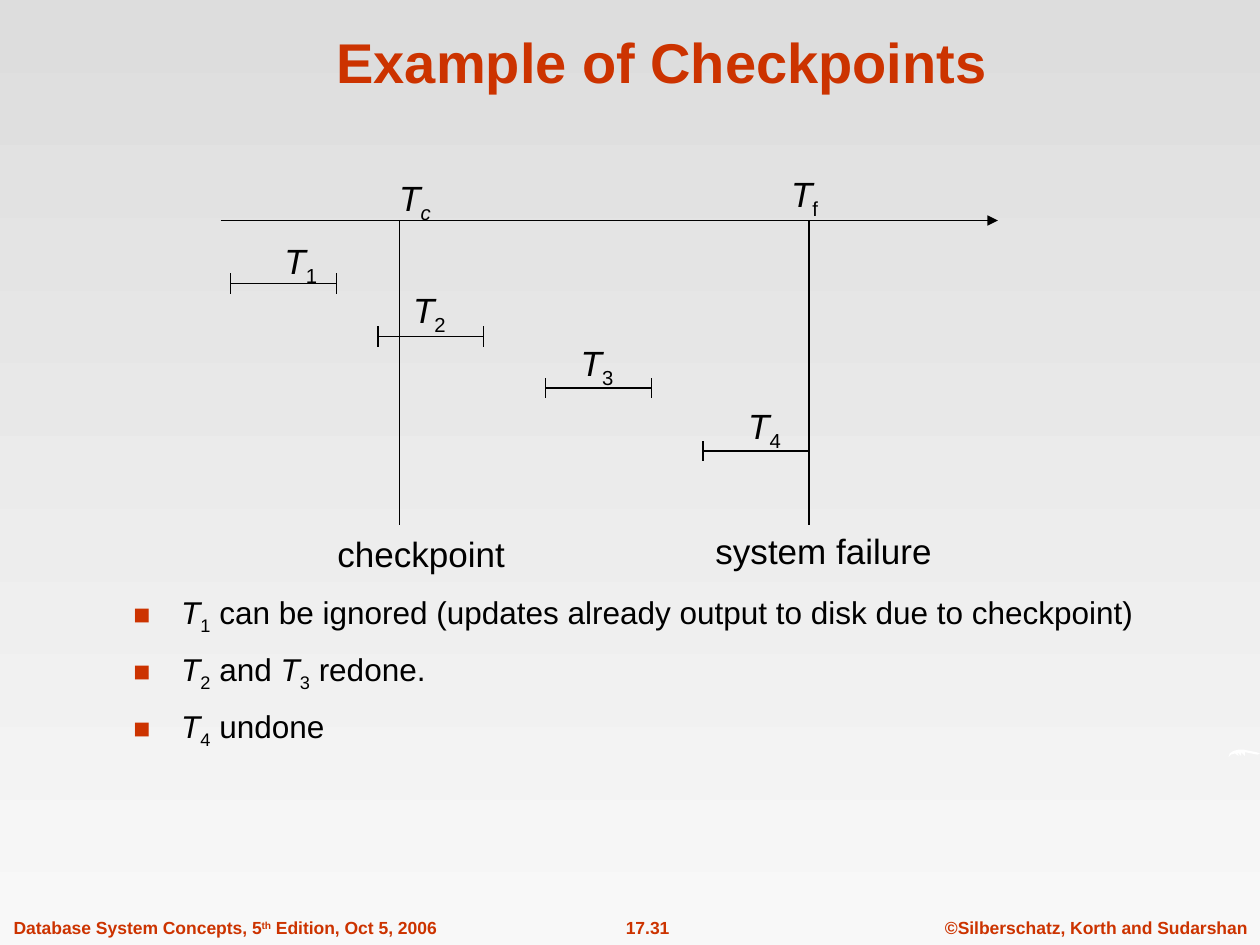
from lxml.etree import SubElement
from pptx import Presentation
from pptx.dml.color import RGBColor
from pptx.enum.shapes import MSO_CONNECTOR
from pptx.enum.text import MSO_ANCHOR, MSO_AUTO_SIZE, PP_ALIGN
from pptx.oxml.ns import qn
from pptx.util import Inches, Pt

COLORS = {"accent": "CC3300", "ink": "000000", "swoosh": "FFFFFF",
          "top": "DDDDDD", "bottom": "F8F8F8"}
FONT = "Arial"

TITLE = "Example of Checkpoints"
FOOTERS = [
    ([("©Silberschatz, Korth and Sudarshan", "")], 7.4, 2.6, PP_ALIGN.CENTER),
    ([("17.31", "")], 4.61, 1.06, PP_ALIGN.CENTER),
    ([("Database System Concepts, 5", ""), ("th", "super"), (" Edition, Oct 5, 2006", "")],
     0.01, 3.56, PP_ALIGN.LEFT),
]
BULLETS = [
    [("T", "italic"), ("1", "sub"),
     (" can be ignored (updates already output to disk due to checkpoint)", "")],
    [("T", "italic"), ("2", "sub"), (" and ", ""), ("T", "italic"), ("3", "sub"), (" redone.", "")],
    [("T", "italic"), ("4", "sub"), (" undone", "")],
]
AXIS_LEFT, AXIS_RIGHT, AXIS_Y, MARK_BOTTOM = 1.75, 7.92, 1.75, 4.17
MARKS = [3.17, 6.42]
LABELS = [
    ([("T", "italic"), ("c", "italic sub")], 3.07, 1.35, 0.46, 0.48),
    ([("T", "italic"), ("f", "sub")], 6.18, 1.32, 0.44, 0.48),
    ([("checkpoint", "")], 2.58, 4.18, 1.55, 0.44),
    ([("system failure", "")], 5.58, 4.15, 1.95, 0.44),
]
TRANSACTIONS = [("1", 1.83, 2.25, 2.16, 1.85), ("2", 3, 2.67, 3.18, 2.24),
                ("3", 4.33, 3.08, 4.51, 2.66), ("4", 5.58, 3.58, 5.84, 3.16)]
SPAN, TICK = 0.84, 0.08
SWOOSH = [(9.75, 6.01), (9.76, 5.98), (9.79, 5.96), (9.83, 5.95), (9.87, 5.95),
          (9.92, 5.96), (9.97, 5.97), (10, 5.98), (9.98, 5.99), (9.93, 5.98),
          (9.88, 5.97), (9.88, 6), (9.85, 5.97), (9.85, 6), (9.82, 5.97),
          (9.83, 6), (9.8, 5.98), (9.77, 5.99)]
BASELINES = {"sub": "-25000", "super": "30000"}


def color(name):
    return RGBColor.from_string(COLORS[name])


def add_runs(paragraph, runs, size, ink="ink", bold=False):
    for text, style in runs:
        run = paragraph.add_run()
        run.text = text
        run.font.name = FONT
        run.font.size = Pt(size)
        run.font.bold = bold
        run.font.italic = "italic" in style
        run.font.color.rgb = color(ink)
        for name, baseline in BASELINES.items():
            if name in style:
                run.font._element.set("baseline", baseline)


def add_text(slide, runs, left, top, width, height, size=20,
             ink="ink", bold=False, align=PP_ALIGN.LEFT):
    shape = slide.shapes.add_textbox(Inches(left), Inches(top), Inches(width), Inches(height))
    shape.text_frame.word_wrap = False
    shape.text_frame.auto_size = MSO_AUTO_SIZE.SHAPE_TO_FIT_TEXT
    paragraph = shape.text_frame.paragraphs[0]
    paragraph.alignment = align
    add_runs(paragraph, runs, size, ink, bold)


def add_line(slide, x1, y1, x2, y2, arrow=False):
    connector = slide.shapes.add_connector(
        MSO_CONNECTOR.STRAIGHT, Inches(x1), Inches(y1), Inches(x2), Inches(y2))
    connector.line.color.rgb = color("ink")
    connector.line.width = Pt(0.75)
    if arrow:
        SubElement(connector.line._get_or_add_ln(), qn("a:tailEnd"), type="triangle")
    SubElement(connector._element.spPr, qn("a:effectLst"))


def add_background(slide):
    fill = slide.background.fill
    fill.gradient()
    fill.gradient_angle = 270
    for stop, name in zip(fill.gradient_stops, ("top", "bottom")):
        stop.color.rgb = color(name)


def add_swoosh(slide):
    points = [(Inches(x), Inches(y)) for x, y in SWOOSH]
    builder = slide.shapes.build_freeform(*points[0])
    builder.add_line_segments(points[1:], close=True)
    shape = builder.convert_to_shape()
    shape.shadow.inherit = False
    shape.fill.solid()
    shape.fill.fore_color.rgb = color("swoosh")
    shape.line.fill.background()


def add_title(slide):
    title = slide.shapes.title
    title.left, title.top = Inches(0.84), Inches(0.13)
    title.width, title.height = Inches(8.83), Inches(0.67)
    title.text_frame.vertical_anchor = MSO_ANCHOR.BOTTOM
    paragraph = title.text_frame.paragraphs[0]
    paragraph.alignment = PP_ALIGN.CENTER
    add_runs(paragraph, [(TITLE, "")], 32, "accent", True)


def add_bullets(slide):
    shape = slide.shapes.add_textbox(Inches(0.96), Inches(4.66), Inches(9.04), Inches(1.5))
    frame = shape.text_frame
    frame.word_wrap = True
    for index, runs in enumerate(BULLETS):
        paragraph = frame.add_paragraph() if index else frame.paragraphs[0]
        properties = paragraph._p.get_or_add_pPr()
        properties.set("marL", str(Inches(0.38)))
        properties.set("indent", str(-Inches(0.38)))
        bullet_color = SubElement(properties, qn("a:buClr"))
        SubElement(bullet_color, qn("a:srgbClr"), val=COLORS["accent"])
        SubElement(properties, qn("a:buSzPct"), val="90000")
        SubElement(properties, qn("a:buFont"), typeface=FONT)
        SubElement(properties, qn("a:buChar"), char="■")
        if index:
            paragraph.space_before = Pt(7.9)
        add_runs(paragraph, runs, 18)


def add_timeline(slide):
    add_line(slide, AXIS_LEFT, AXIS_Y, AXIS_RIGHT, AXIS_Y, arrow=True)
    for x in MARKS:
        add_line(slide, x, AXIS_Y, x, MARK_BOTTOM)
    for runs, *place in LABELS:
        add_text(slide, runs, *place)
    for number, left, y, label_left, label_top in TRANSACTIONS:
        add_line(slide, left, y, left + SPAN, y)
        for x in (left, left + SPAN):
            add_line(slide, x, y - TICK, x, y + TICK)
        add_text(slide, [("T", "italic"), (number, "sub")],
                 label_left, label_top, 0.47, 0.48)


def main():
    presentation = Presentation()
    presentation.slide_width, presentation.slide_height = Inches(10), Inches(7.5)
    slide = presentation.slides.add_slide(presentation.slide_layouts[5])
    add_background(slide)
    for runs, left, width, align in FOOTERS:
        add_text(slide, runs, left, 7.23, width, 0.27, 10, "accent", True, align)
    add_swoosh(slide)
    add_title(slide)
    add_bullets(slide)
    add_timeline(slide)
    presentation.save("out.pptx")


if __name__ == "__main__":
    main()
